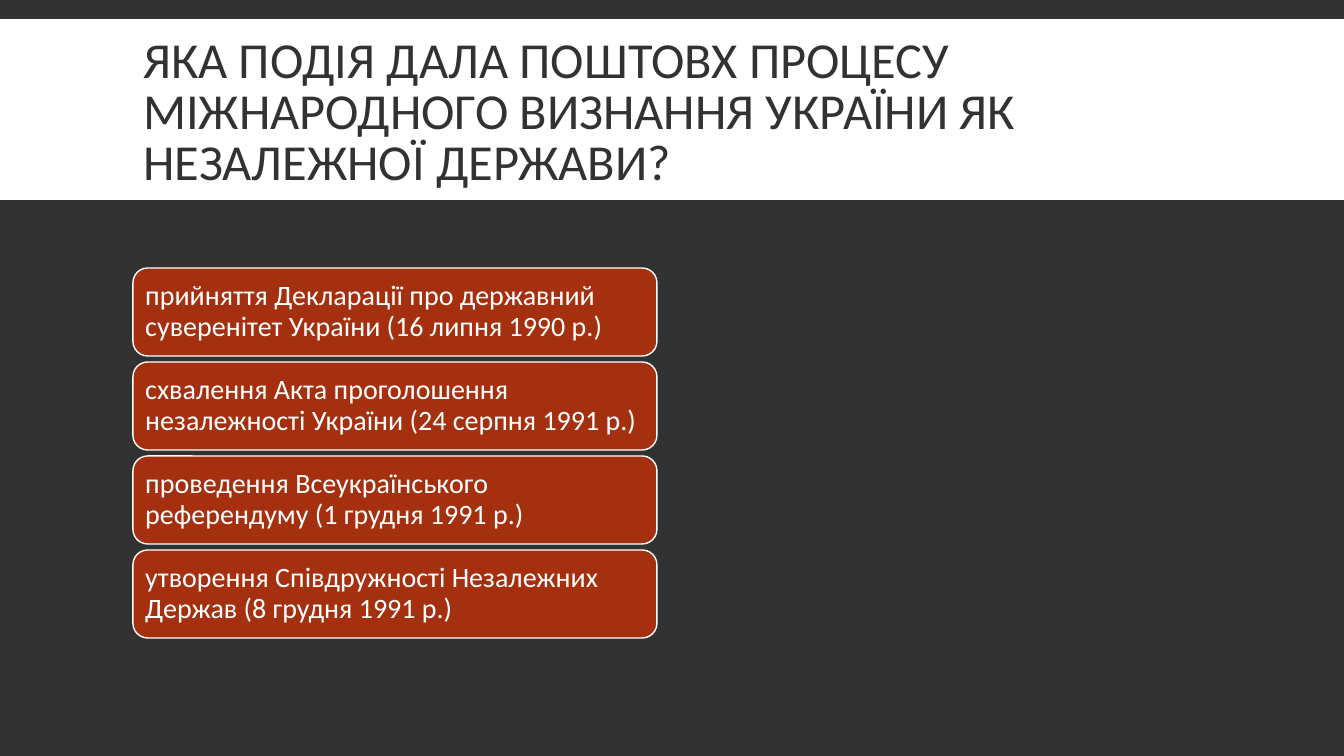
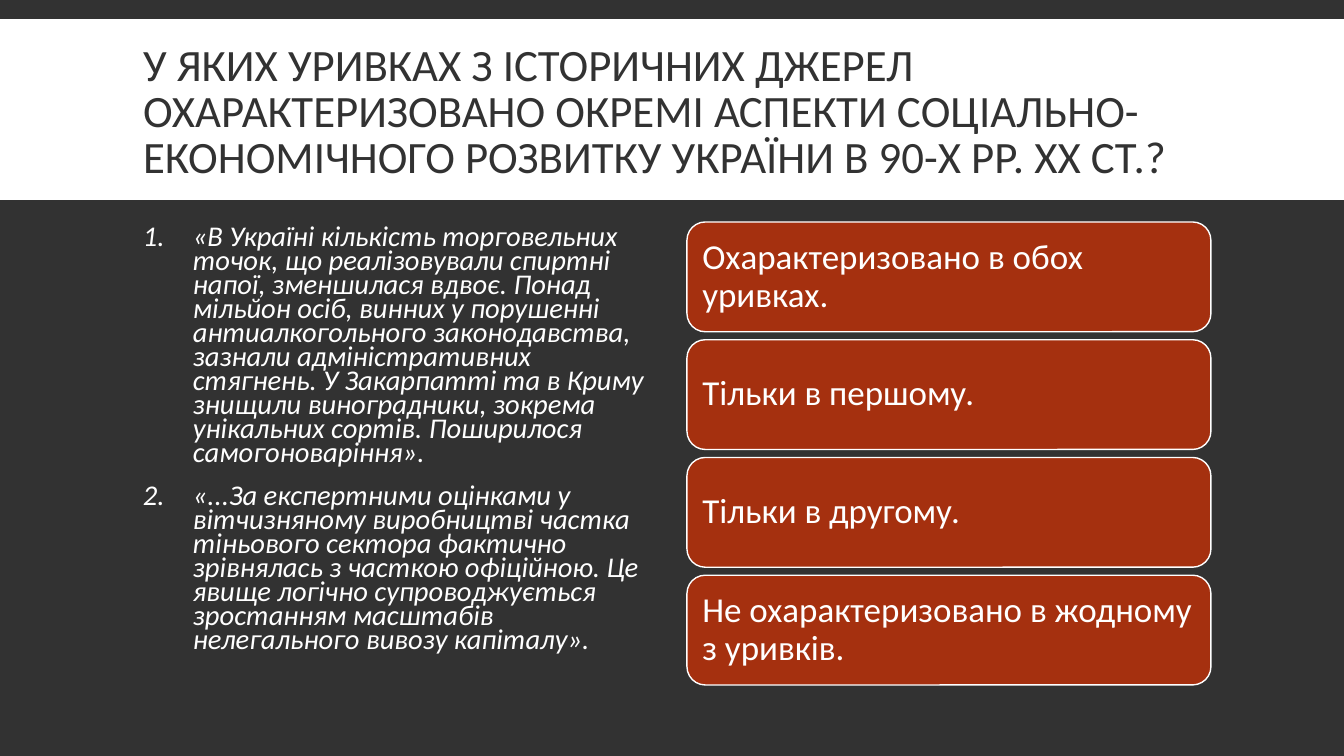
from lxml import etree
from pptx import Presentation
from pptx import util as u
from pptx.dml import color as c
from pptx.enum import shapes as s, text as t
from pptx.oxml import ns

PX = 12192000 / 1344
FONT = "Calibri"
HUES = {"dark": "323232", "white": "FFFFFF", "rust": "A5300F"}
HEAD = (133, 31, 1079, 166)

EVENTS = [
    "прийняття Декларації про державний суверенітет України (16 липня 1990 р.)",
    "схвалення Акта проголошення незалежності України (24 серпня 1991 р.)",
    "проведення Всеукраїнського референдуму (1 грудня 1991 р.)",
    "утворення Співдружності Незалежних Держав (8 грудня 1991 р.)",
]
QUOTES = [
    "«В Україні кількість торговельних точок, що реалізовували спиртні напої, "
    "зменшилася вдвоє. Понад мільйон осіб, винних у порушенні антиалкогольного "
    "законодавства, зазнали адміністративних стягнень. У Закарпатті та в Криму "
    "знищили виноградники, зокрема унікальних сортів. Поширилося самогоноваріння».",
    "«...За експертними оцінками у вітчизняному виробництві частка тіньового "
    "сектора фактично зрівнялась з часткою офіційною. Це явище логічно "
    "супроводжується зростанням масштабів нелегального вивозу капіталу».",
]
CHOICES = [
    "Охарактеризовано в обох уривках.",
    "Тільки в першому.",
    "Тільки в другому.",
    "Не охарактеризовано в жодному з уривків.",
]


def px(n):
    """Turn pixels into EMU."""
    return u.Emu(round(n * PX))


def hue(name):
    """Look up a colour by name."""
    return c.RGBColor.from_string(HUES[name])


def style(par, size, tone, lead, slant=False):
    """Format one paragraph and its runs."""
    par.alignment = t.PP_ALIGN.LEFT
    par.line_spacing = lead
    for run in par.runs:
        font = run.font
        font.name, font.size, font.italic = FONT, u.Pt(size), slant
        font.color.rgb = hue(tone)


def block(slide, kind, box, fill):
    """Add a filled shape without line or shadow."""
    shape = slide.shapes.add_shape(kind, *map(px, box))
    shape.shadow.inherit = False
    shape.fill.solid()
    shape.fill.fore_color.rgb = hue(fill)
    shape.line.fill.background()
    return shape


def theme(deck, lay):
    """Set the shared background and title place."""
    fill = deck.slide_master.background.fill
    fill.solid()
    fill.fore_color.rgb = hue("dark")
    title = lay.placeholders[0]
    title.left, title.top, title.width, title.height = map(px, HEAD)


def band(slide, lay):
    """Put the white title band on the layout, behind its text."""
    bar = block(slide, s.MSO_SHAPE.RECTANGLE, (0, 19, 1344, 181), "white")
    lay.shapes.element.insert(2, bar.element)


def head(slide, words, size):
    """Fill the title placeholder."""
    frame = slide.shapes.title.text_frame
    frame.text = words
    frame.auto_size = t.MSO_AUTO_SIZE.NONE
    frame.vertical_anchor = t.MSO_ANCHOR.MIDDLE
    style(frame.paragraphs[0], size, "dark", 0.85)


def stack(slide, box, items, gap, size, pad):
    """Stack equal rounded answer cards in a box."""
    left, top, wide, high = box
    tall = (high - gap * (len(items) - 1)) / len(items)
    for i, words in enumerate(items):
        spot = (left, top + i * (tall + gap), wide, tall)
        card = block(slide, s.MSO_SHAPE.ROUNDED_RECTANGLE, spot, "rust")
        card.line.color.rgb = hue("white")
        card.line.width = u.Pt(1)
        frame = card.text_frame
        frame.text = words
        frame.word_wrap = True
        frame.vertical_anchor = t.MSO_ANCHOR.MIDDLE
        frame.margin_left = frame.margin_right = px(pad)
        frame.margin_top = frame.margin_bottom = px(pad)
        style(frame.paragraphs[0], size, "white", 0.9)


def quotes(slide, box, items):
    """Set a numbered list of quotes in a box."""
    frame = slide.shapes.add_textbox(*map(px, box)).text_frame
    frame.word_wrap = True
    frame.text = "\n".join(items)
    for i, par in enumerate(frame.paragraphs):
        props = par._p.get_or_add_pPr()
        props.set("marL", str(px(50)))
        props.set("indent", str(px(-50)))
        num = etree.SubElement(props, ns.qn("a:buAutoNum"))
        num.set("type", "arabicPeriod")
        style(par, 20.4, "white", 0.7, True)
        par.space_before = u.Pt(12 if i else 0)
        par.space_after = u.Pt(2)


def event(slide):
    """Build the question on recognition."""
    head(slide, "ЯКА ПОДІЯ ДАЛА ПОШТОВХ ПРОЦЕСУ МІЖНАРОДНОГО ВИЗНАННЯ "
         "УКРАЇНИ ЯК НЕЗАЛЕЖНОЇ ДЕРЖАВИ?", 36)
    stack(slide, (133, 268, 524, 370), EVENTS, 6, 20, 8)


def source(slide):
    """Build the question on source extracts."""
    head(slide, "У ЯКИХ УРИВКАХ З ІСТОРИЧНИХ ДЖЕРЕЛ ОХАРАКТЕРИЗОВАНО ОКРЕМІ "
         "АСПЕКТИ СОЦІАЛЬНО-ЕКОНОМІЧНОГО РОЗВИТКУ УКРАЇНИ В 90-Х РР. XX СТ.?", 32)
    quotes(slide, (133, 222, 524, 464), QUOTES)
    stack(slide, (687, 222, 524, 463), CHOICES, 8, 25, 10)


def main():
    """Build and save the deck."""
    deck = Presentation()
    deck.slide_width, deck.slide_height = px(1344), px(756)
    lay = deck.slide_layouts.get_by_name("Title Only")
    theme(deck, lay)
    first, second = (deck.slides.add_slide(lay) for _ in range(2))
    band(first, lay)
    event(first)
    source(second)
    deck.save("out.pptx")


if __name__ == "__main__":
    main()
